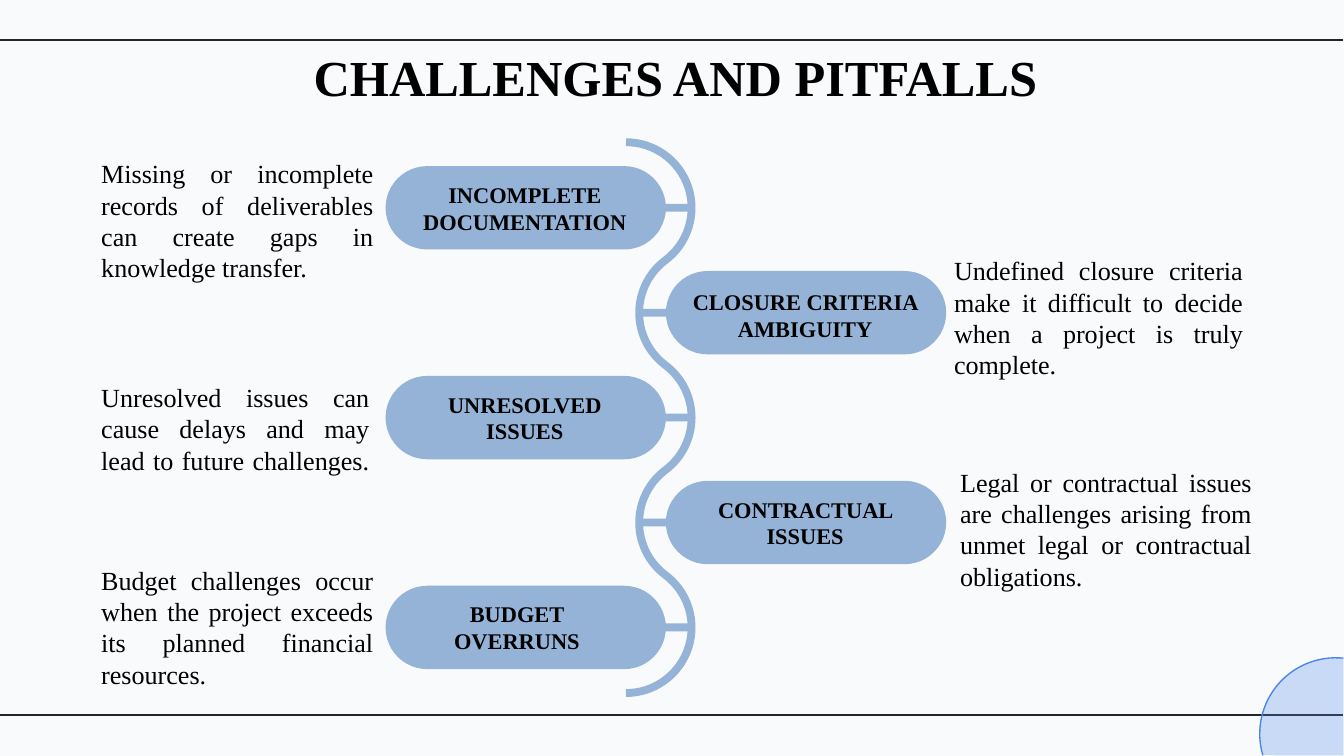
from dataclasses import dataclass
from math import asin, cos, degrees, radians, sin

from lxml import etree
from pptx import Presentation
from pptx.dml.color import RGBColor
from pptx.enum import shapes, text
from pptx.oxml.ns import qn
from pptx.util import Pt


@dataclass(frozen=True)
class Theme:
    """Colours, font and type sizes of the slide."""
    paper: RGBColor = RGBColor(0xF8, 0xFA, 0xFB)
    ink: RGBColor = RGBColor(0, 0, 0)
    rule: RGBColor = RGBColor(0x26, 0x24, 0x25)
    blue: RGBColor = RGBColor(0x95, 0xB3, 0xD7)
    accent: RGBColor = RGBColor(0x4A, 0x86, 0xE8)
    font: str = "Times New Roman"
    title: float = 54
    label: float = 24
    body: float = 28
    hairline: float = 1.47


T = Theme()
W, H = 1440, 810
CENTER, JUSTIFY = text.PP_ALIGN.CENTER, text.PP_ALIGN.JUSTIFY

CHALLENGES = [
    ("INCOMPLETE DOCUMENTATION", (21, -1, 0),
     "Missing or incomplete records of deliverables can create gaps in knowledge transfer.",
     (108.5, 169, 291.6)),
    ("CLOSURE CRITERIA AMBIGUITY", (11, -1, 2.5),
     "Undefined closure criteria make it difficult to decide when a project is truly complete.",
     (1022.8, 273, 309.6)),
    ("UNRESOLVED ISSUES", (21, -1, 0),
     "Unresolved issues can cause delays and may lead to future challenges. ",
     (108.5, 409, 287.3)),
    ("CONTRACTUAL ISSUES", (21, -1, 0),
     "Legal or contractual issues are challenges arising from unmet legal or contractual obligations.",
     (1029.2, 499.7, 312.5)),
    ("BUDGET OVERRUNS", (21, -9.5, 0),
     "Budget challenges occur when the project exceeds its planned financial resources.",
     (108.5, 604.8, 291.6)),
]


def write(tf, words, size, align, bold=False, margins=(0, 0, 0, 0)):
    """Set one styled paragraph in a wrapping text frame."""
    tf.text = words
    tf.word_wrap = True
    tf.margin_left, tf.margin_top, tf.margin_right, tf.margin_bottom = map(Pt, margins)
    p = tf.paragraphs[0]
    p.alignment = align
    f = p.runs[0].font
    f.name, f.size, f.bold = T.font, Pt(size), bold
    f.color.rgb = T.ink


def text_box(s, x, y, w, h, words, size, align, bold=False):
    """Add a text box without insets."""
    sp = s.shapes.add_textbox(Pt(x), Pt(y), Pt(w), Pt(h))
    write(sp.text_frame, words, size, align, bold)


def block(s, kind, x, y, w, h):
    """Add a plain blue shape."""
    sp = s.shapes.add_shape(kind, Pt(x), Pt(y), Pt(w), Pt(h))
    sp.shadow.inherit = False
    sp.fill.solid()
    sp.fill.fore_color.rgb = T.blue
    sp.line.fill.background()
    return sp


def arc(cx, cy, r, start, end, steps=32):
    """Return points along an arc, angles in degrees clockwise from the right."""
    angles = [radians(start + (end - start) * i / steps) for i in range(steps + 1)]
    return [(cx + r * cos(a), cy + r * sin(a)) for a in angles]


def outline(s, points, close=False):
    """Add a freeform through points, without fill or shadow."""
    pts = [(Pt(x), Pt(y)) for x, y in points]
    fb = s.shapes.build_freeform(*pts[0], scale=1.0)
    fb.add_line_segments(pts[1:], close=close)
    sp = fb.convert_to_shape()
    sp.shadow.inherit = False
    sp.fill.background()
    return sp


def stroke(sp, color, width):
    """Colour the line of a shape or connector."""
    sp.line.color.rgb = color
    sp.line.width = Pt(width)


def frame(s, x, y, w, h):
    """Draw the background, both rules and the corner disc."""
    s.background.fill.solid()
    s.background.fill.fore_color.rgb = T.paper
    for level in (y + 43, y + h - 43.2):
        c = s.shapes.add_connector(shapes.MSO_CONNECTOR.STRAIGHT,
                                   Pt(x), Pt(level), Pt(x + w), Pt(level))
        stroke(c, T.rule, T.hairline)
        etree.SubElement(c._element.spPr, qn("a:effectLst"))
    rim = arc(x + w - 8, y + h - 23, 81.6, 163.7, 275.6)
    disc = outline(s, rim + [(x + w, y + h)], close=True)
    disc.fill.solid()
    disc.fill.fore_color.rgb = T.accent
    disc.line.fill.background()
    clr = disc._element.spPr.find(qn("a:solidFill"))[0]
    etree.SubElement(clr, qn("a:alpha"), val="27000")
    stroke(outline(s, rim), T.accent, T.hairline)


def timeline(s, x, y, w, h):
    """Draw the winding band with a stem and a pill for every challenge."""
    n, band, step, pill_w, pill_h = len(CHALLENGES), 8.4, 112.5, 300.5, 89.4
    mid = x + w / 2 - 0.5
    r = (h - band - (n - 1) * step) / 2
    bend = asin(step / 2 / r)
    shift, bend = r * cos(bend), degrees(bend)
    path = []
    for i, (label, (inset, dx, dy), _, _) in enumerate(CHALLENGES):
        cy = y + band / 2 + r + i * step
        first = -90 if i == 0 else -bend
        last = 90 if i == n - 1 else bend
        if i % 2 == 0:
            path += arc(mid - shift, cy, r, first, last)
        else:
            path += arc(mid + shift, cy, r, 180 - first, 180 - last)
        block(s, shapes.MSO_SHAPE.RECTANGLE, mid - 28, cy - band / 2, 56, band)
        left = x if i % 2 == 0 else x + w - pill_w
        sp = block(s, shapes.MSO_SHAPE.ROUNDED_RECTANGLE, left, cy - pill_h / 2, pill_w, pill_h)
        sp.adjustments[0] = 0.5
        sp.text_frame.vertical_anchor = text.MSO_ANCHOR.MIDDLE
        write(sp.text_frame, label, T.label, CENTER, True,
              (inset + dx, 2 * dy, inset - dx, 0))
    stroke(outline(s, path), T.blue, band)


def descriptions(s, x, y):
    """Place the explanation beside each pill."""
    for _, _, words, (left, top, width) in CHALLENGES:
        text_box(s, x + left, y + top, width, 135, words, T.body, JUSTIFY)


def main():
    """Build and save the slide."""
    prs = Presentation()
    prs.slide_width, prs.slide_height = Pt(1440.72), Pt(810.72)
    s = prs.slides.add_slide(prs.slide_layouts[6])
    frame(s, 0, 0, W, H)
    text_box(s, 321, 50, 806.4, 66, "CHALLENGES AND PITFALLS", T.title, CENTER, True)
    timeline(s, 413.3, 148.3, 601, 599.1)
    descriptions(s, 0, 0)
    prs.save("out.pptx")


if __name__ == "__main__":
    main()
